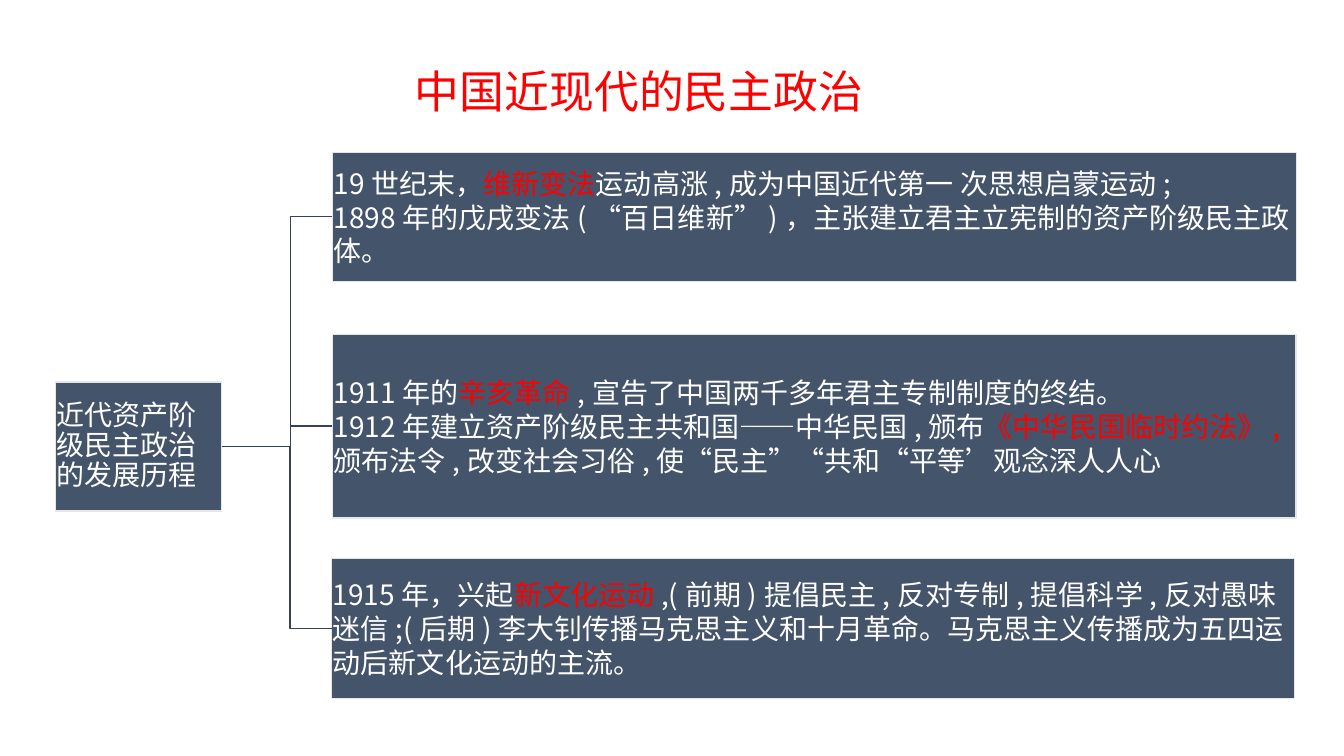
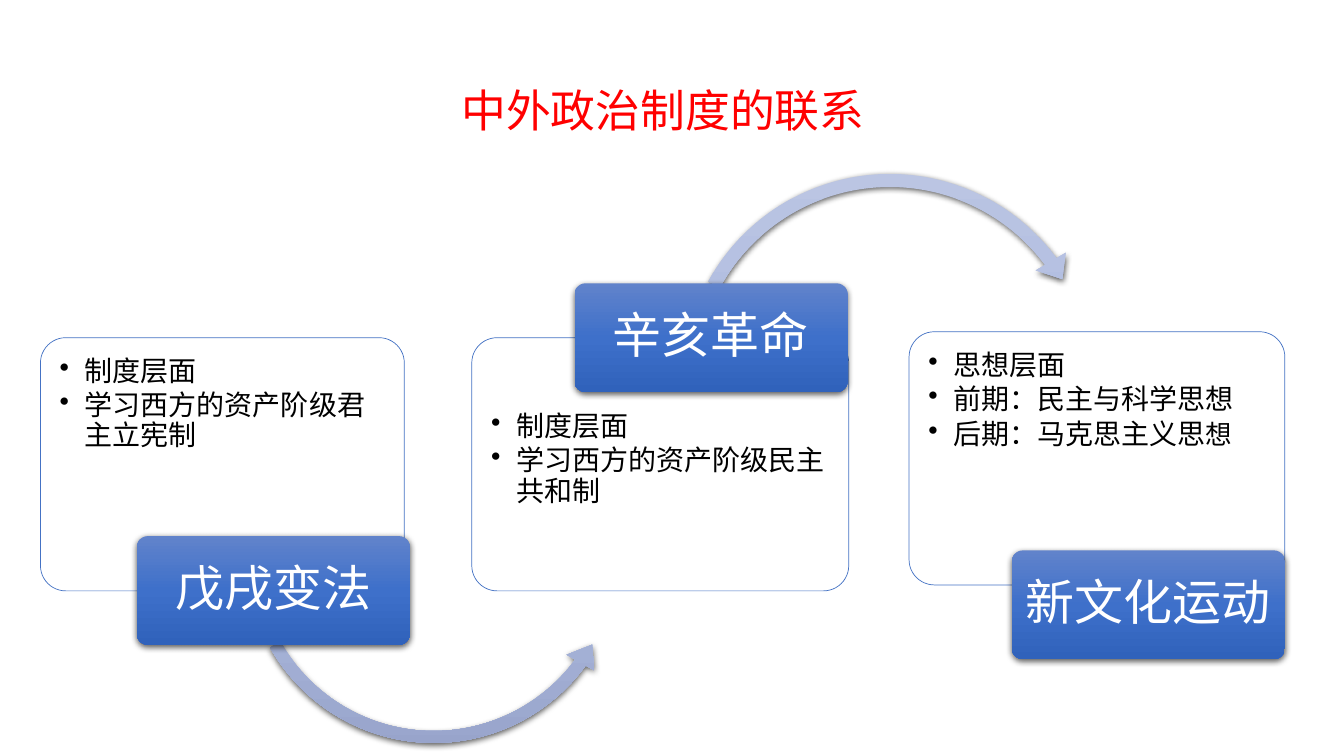
import copy

import lxml.etree
import pptx
import pptx.dml.color
import pptx.enum.shapes
import pptx.enum.text
import pptx.oxml.ns
import pptx.util

Cm, Pt = pptx.util.Cm, pptx.util.Pt
qn = pptx.oxml.ns.qn
KIND = pptx.enum.shapes.MSO_SHAPE
ALIGN = pptx.enum.text.PP_ALIGN
ANCHOR = pptx.enum.text.MSO_ANCHOR

FONT = "Noto Sans CJK SC"
RED, WHITE, BLACK = "FF0000", "FFFFFF", "000000"
SLATE, EDGE, WIRE = "44546A", "E7E6E6", "364355"
BLUE = "4472C4"
LABEL = ("6183CB", "3E70CA", "3062BB")
ARROW = ("BBC5E3", "AEBBE0", "98A4CB")


def rgb(code):
    return pptx.dml.color.RGBColor.from_string(code)


def node(parent, tag, **attrs):
    return lxml.etree.SubElement(parent, qn(tag), attrs)


def text(shape, paras, size=20, color=WHITE, align=ALIGN.LEFT, anchor=ANCHOR.MIDDLE,
         pads=None, lines=1.0, after=0, bullet=False):
    """Fill a shape with paragraphs; a run is a string or (string, changes)."""
    frame = shape.text_frame
    frame.word_wrap = True
    frame.vertical_anchor = anchor
    if pads:
        (frame.margin_left, frame.margin_top,
         frame.margin_right, frame.margin_bottom) = map(Cm, pads)
    for i, runs in enumerate(paras):
        para = frame.paragraphs[0] if i == 0 else frame.add_paragraph()
        para.alignment = align
        para.line_spacing = lines
        para.space_after = Pt(after)
        if bullet:
            props = para._p.get_or_add_pPr()
            props.set("marL", str(Cm(0.63)))
            props.set("indent", str(-Cm(0.63)))
            node(props, "a:buChar", char="•")
        for part in runs:
            words, diff = (part, {}) if isinstance(part, str) else part
            run = para.add_run()
            run.text = words
            run.font.size = Pt(diff.get("size", size))
            run.font.color.rgb = rgb(diff.get("color", color))
            run.font.name = FONT
            node(run._r.get_or_add_rPr(), "a:ea", typeface=FONT)


def shape(slide, kind, box, fill, line=None, width=1):
    """Add a preset shape; a tuple of colours makes a shaded, shadowed one."""
    item = slide.shapes.add_shape(kind, *map(Cm, box))
    item.shadow.inherit = False
    if isinstance(fill, tuple):
        shade(item, fill)
    else:
        item.fill.solid()
        item.fill.fore_color.rgb = rgb(fill)
    if line:
        item.line.color.rgb = rgb(line)
        item.line.width = Pt(width)
    else:
        item.line.fill.background()
    return item


def shade(item, colors):
    """Give a downward three-stop gradient and a soft shadow below."""
    fill = item.fill
    fill.gradient()
    fill.gradient_angle = 270
    stops = item._element.spPr.find(".//" + qn("a:gsLst"))
    stops.append(copy.deepcopy(stops[-1]))
    for i, (stop, color) in enumerate(zip(fill.gradient_stops, colors)):
        stop.position = i / 2
        stop.color.rgb = rgb(color)
    glow = node(item._element.spPr.find(qn("a:effectLst")), "a:outerShdw",
                blurRad=str(Pt(4.5)), dist=str(Pt(1.5)), dir="5400000",
                algn="ctr", rotWithShape="0")
    node(node(glow, "a:srgbClr", val=BLACK), "a:alpha", val="63000")


def title(slide, box, words):
    item = slide.shapes.add_textbox(*map(Cm, box))
    text(item, [[words]], size=32, color=RED, align=ALIGN.CENTER, anchor=ANCHOR.TOP)


def block(slide, box, paras, **form):
    item = shape(slide, KIND.RECTANGLE, box, SLATE, EDGE)
    text(item, paras, pads=(0.03,) * 4, **form)
    return item


def wire(slide, start, end):
    """Join the right side of one block to the left side of another."""
    line = slide.shapes.add_connector(pptx.enum.shapes.MSO_CONNECTOR.ELBOW, 0, 0, 0, 0)
    line.begin_connect(start, 3)
    line.end_connect(end, 1)
    line.line.color.rgb = rgb(WIRE)
    line.line.width = Pt(1)
    props = line._element.spPr
    geom = props.find(qn("a:prstGeom"))
    for old in list(geom):
        geom.remove(old)
    node(node(geom, "a:avLst"), "a:gd", name="adj1", fmla="val 62000")
    node(props, "a:effectLst")


def tree(slide, root, words, leaves):
    """Draw a root block with wires to its leaf blocks."""
    base = block(slide, root, [[words]], lines=0.9)
    for box, paras in leaves:
        wire(slide, base, block(slide, box, paras))


def step(slide, box, name, shift, paras, top=0.3, arrow=None):
    """Draw a card with its label and arrow, both set off from its corner."""
    left, upper = box[:2]
    card = shape(slide, KIND.ROUNDED_RECTANGLE, box, WHITE, BLUE, 0.5)
    card.adjustments[0] = 0.1
    node(card._element.spPr.find(qn("a:solidFill"))[0], "a:alpha", val="90000")
    text(card, paras, color=BLACK, anchor=ANCHOR.TOP, pads=(0.3, top, 0.3, 0.3),
         lines=0.9, after=3, bullet=True)
    if arrow:
        kind, dx, dy, side, bends = arrow
        curve = shape(slide, kind, (left + dx, upper + dy, side, side), ARROW)
        for i, bend in enumerate(bends):
            curve.adjustments[i] = bend
    dx, dy = shift
    tag = shape(slide, KIND.ROUNDED_RECTANGLE, (left + dx, upper + dy, 6.88, 2.74), LABEL)
    tag.adjustments[0] = 0.1
    text(tag, [[name]], size=35, align=ALIGN.CENTER, pads=(0.18, 0.13) * 2, lines=0.9)


def course(slide):
    title(slide, (5.05, 1.47, 22.12, 1.63), "中国近现代的民主政治")
    red = {"color": RED}
    tree(slide, (1.4, 9.63, 4.19, 3.25), "近代资产阶级民主政治的发展历程", [
        ((8.38, 3.84, 24.3, 3.25), [
            ["19世纪末，", ("维新变法", red), "运动高涨,成为中国近代第一 次思想启蒙运动;"],
            ["1898年的戊戌变法(“百日维新”)，主张建立君主立宪制的资产阶级民主政体。"]]),
        ((8.38, 8.43, 24.28, 4.62), [
            ["1911年的", ("辛亥革命", red), ",宣告了中国两千多年君主专制制度的终结。"],
            ["1912年建立资产阶级民主共和国——中华民国,颁布",
             ("《中华民国临时约法》,", red),
             "颁布法令,改变社会习俗,使“民主”“共和“平等’观念深人人心"]]),
        ((8.36, 14.07, 24.26, 3.53), [
            ["1915年，兴起", ("新文化运动", red),
             ",(前期)提倡民主,反对专制,提倡科学,反对愚味迷信;(后期)李大钊传播"
             "马克思主义和十月革命。马克思主义传播成为五四运动后新文化运动的主流。"]]),
    ])


def links(slide):
    title(slide, (6.6, 1.96, 20.22, 1.63), "中外政治制度的联系")
    step(slide, (1.02, 8.51, 9.17, 6.38), "戊戌变法", (2.43, 5),
         [["制度层面"], ["学习西方的资产阶级君主立宪制"]],
         arrow=(KIND.LEFT_CIRCULAR_ARROW, 4.92, 0.48, 9.98,
                (0.03, 4.01, 21.77, 90.25, 0.04)))
    step(slide, (11.89, 8.51, 9.5, 6.38), "辛亥革命", (2.59, -1.37),
         [["制度层面"], ["学习西方的资产阶级民主共和制"]], top=1.69,
         arrow=(KIND.CIRCULAR_ARROW, 5.05, -4.4, 10.97,
                (0.03, 3.62, 194.09, 125.22, 0.04)))
    step(slide, (22.91, 8.36, 9.47, 6.38), "新文化运动", (2.59, 5.51),
         [["思想层面"], ["前期：民主与科学思想"],
          ["后期：马克思主义思", ("想", {"size": 19})]])


def main():
    deck = pptx.Presentation()
    deck.slide_width, deck.slide_height = Cm(33.87), Cm(19.05)
    for draw in (course, links):
        draw(deck.slides.add_slide(deck.slide_layouts[6]))
    deck.save("out.pptx")


if __name__ == "__main__":
    main()
